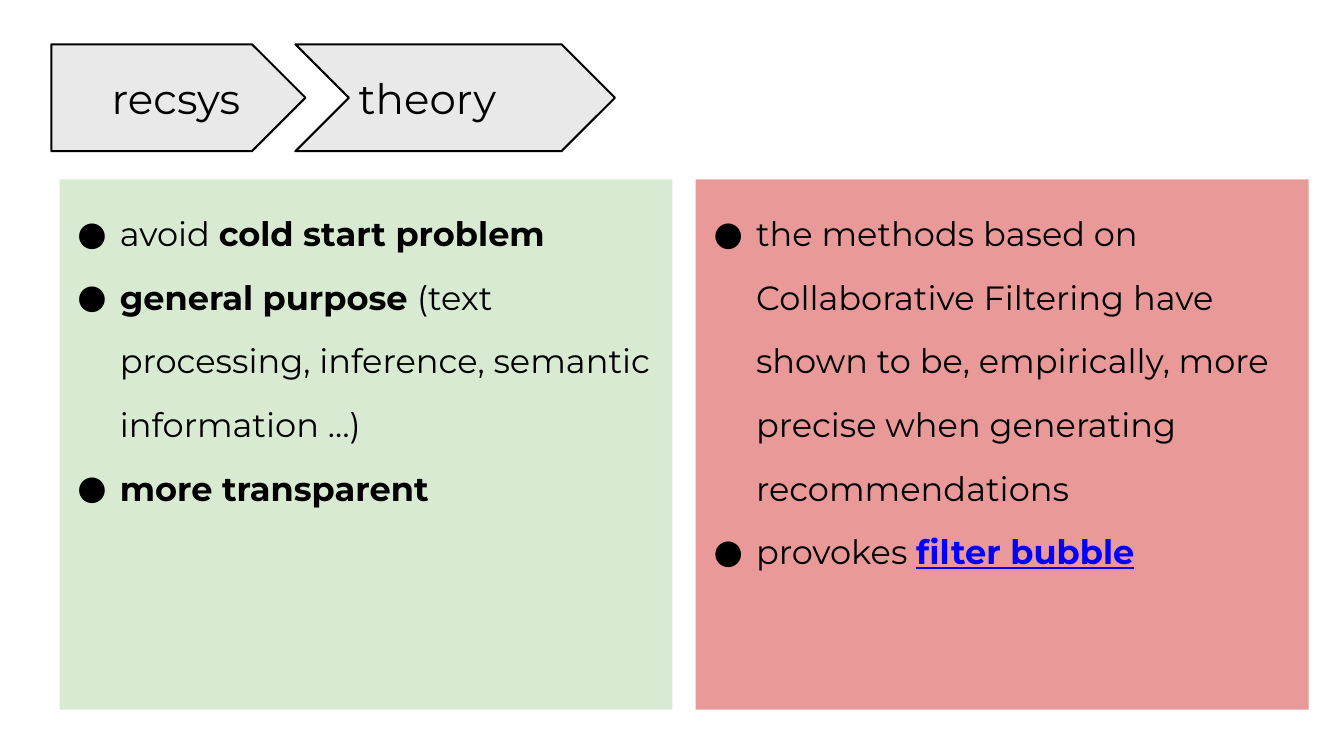
from dataclasses import dataclass

import pptx
import pptx.dml.color
import pptx.enum.shapes
import pptx.enum.text
import pptx.oxml
import pptx.oxml.ns
import pptx.util

Inches = pptx.util.Inches
Pt = pptx.util.Pt
Preset = pptx.enum.shapes.MSO_SHAPE
Anchor = pptx.enum.text.MSO_ANCHOR

FONT = "Montserrat"
COLORS = {
    "text": "000000",
    "link": "0000FF",
    "step": "E9E9E9",
    "pros": "D9EAD3",
    "cons": "EA9999",
}


@dataclass
class Phrase:
    text: str
    bold: bool = False
    underline: bool = False
    color: str = "text"


@dataclass
class Panel:
    left: float
    fill: str
    bullets: list[list[Phrase]]


@dataclass
class Step:
    label: str
    preset: Preset
    left: float
    width: float
    indent: float = 0


PANELS = [
    Panel(0.59, "pros", [
        [Phrase("avoid "), Phrase("cold start problem", bold=True)],
        [Phrase("general purpose ", bold=True),
         Phrase("(text processing, inference, semantic information …)")],
        [Phrase("more transparent", bold=True)],
    ]),
    Panel(6.9, "cons", [
        [Phrase("the methods based on Collaborative Filtering have shown to be, "
                "empirically, more precise when generating recommendations")],
        [Phrase("provokes "),
         Phrase("filter bubble", bold=True, underline=True, color="link")],
    ]),
]
STEPS = [
    Step("theory", Preset.CHEVRON, 2.93, 3.17),
    Step("recsys", Preset.PENTAGON, 0.51, 2.52, indent=0.5),
]


def rgb(name: str) -> pptx.dml.color.RGBColor:
    return pptx.dml.color.RGBColor.from_string(COLORS[name])


def add_filled_shape(slide, preset: Preset, left: float, top: float,
                     width: float, height: float, fill: str, anchor: Anchor):
    shape = slide.shapes.add_shape(
        preset, Inches(left), Inches(top), Inches(width), Inches(height))
    shape.shadow.inherit = False
    shape.fill.solid()
    shape.fill.fore_color.rgb = rgb(fill)
    frame = shape.text_frame
    frame.word_wrap = True
    frame.vertical_anchor = anchor
    frame.margin_left = frame.margin_right = Inches(0.1)
    frame.margin_top = frame.margin_bottom = Inches(0.1)
    return shape


def set_indent(paragraph, left: float, first_line: float = 0) -> None:
    paragraph.alignment = pptx.enum.text.PP_ALIGN.LEFT
    properties = paragraph._p.get_or_add_pPr()
    properties.set("marL", str(Inches(left)))
    properties.set("indent", str(Inches(first_line)))


def add_bullet_mark(paragraph) -> None:
    properties = paragraph._p.get_or_add_pPr()
    namespace = pptx.oxml.ns.nsdecls("a")
    for markup in (
        f'<a:buClr {namespace}><a:srgbClr val="{COLORS["text"]}"/></a:buClr>',
        f'<a:buFont {namespace} typeface="{FONT}"/>',
        f'<a:buChar {namespace} char="●"/>',
    ):
        properties.append(pptx.oxml.parse_xml(markup))


def add_phrase(paragraph, phrase: Phrase, size: float) -> None:
    run = paragraph.add_run()
    run.text = phrase.text
    run.font.name = FONT
    run.font.size = Pt(size)
    run.font.bold = phrase.bold
    run.font.underline = phrase.underline
    run.font.color.rgb = rgb(phrase.color)


def add_panel(slide, panel: Panel) -> None:
    shape = add_filled_shape(slide, Preset.RECTANGLE, panel.left, 1.78,
                             6.08, 5.26, panel.fill, Anchor.TOP)
    shape.line.fill.background()
    frame = shape.text_frame
    for index, phrases in enumerate(panel.bullets):
        paragraph = frame.add_paragraph() if index else frame.paragraphs[0]
        set_indent(paragraph, 0.5, -0.42)
        paragraph.line_spacing = 1.58
        add_bullet_mark(paragraph)
        for phrase in phrases:
            add_phrase(paragraph, phrase, 24)


def add_step(slide, step: Step) -> None:
    shape = add_filled_shape(slide, step.preset, step.left, 0.44,
                             step.width, 1.06, "step", Anchor.MIDDLE)
    shape.adjustments[0] = 0.5
    shape.line.color.rgb = rgb("text")
    shape.line.width = Pt(1.5)
    paragraph = shape.text_frame.paragraphs[0]
    set_indent(paragraph, step.indent)
    add_phrase(paragraph, Phrase(step.label), 30)


def main() -> None:
    presentation = pptx.Presentation()
    presentation.slide_width = Inches(13.33)
    presentation.slide_height = Inches(7.5)
    blank_layout = presentation.slide_layouts[6]
    slide = presentation.slides.add_slide(blank_layout)

    # Advantages and drawbacks
    for panel in PANELS:
        add_panel(slide, panel)

    # Breadcrumb arrows, the first one in front
    for step in STEPS:
        add_step(slide, step)

    presentation.save("out.pptx")


if __name__ == "__main__":
    main()
